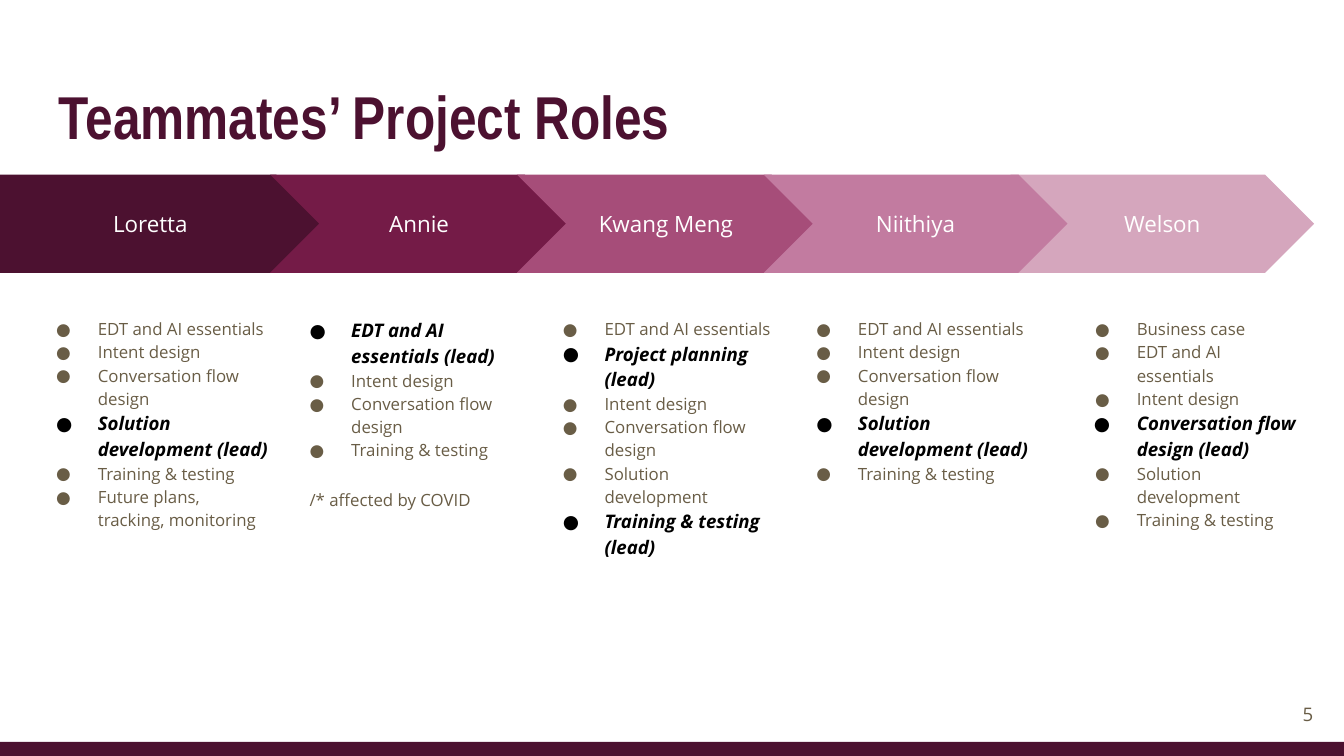
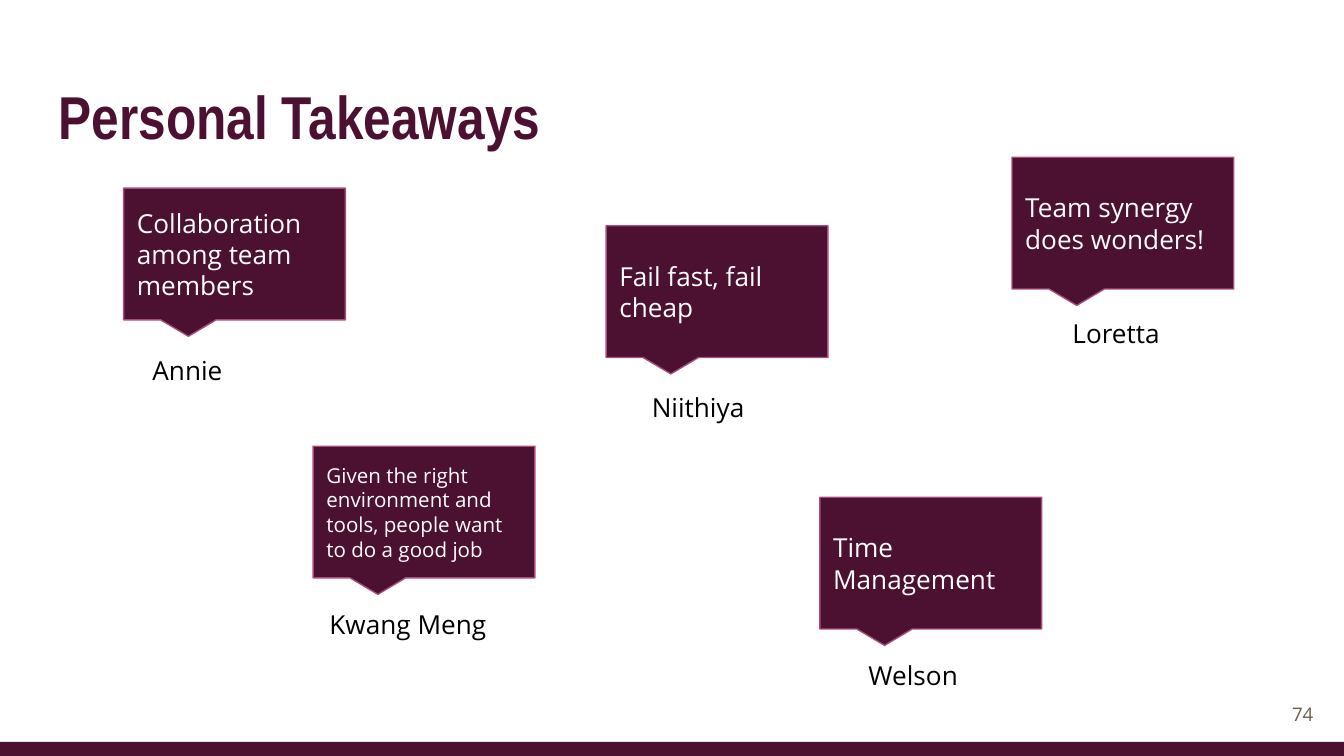
from lxml import etree
from pptx import Presentation
from pptx.dml.color import RGBColor
from pptx.enum import shapes, text
from pptx.oxml import ns
from pptx.util import Inches, Pt

KIND = shapes.MSO_SHAPE
ALIGN = text.PP_ALIGN
MID = text.MSO_ANCHOR.MIDDLE
WIDE, HIGH = 10, 5.625
COLS, ROWS = 100, 56.25
PLUM, ROSE, TAUPE, BLACK, WHITE = "4C1130", "A64D79", "695D46", "000000", "FFFFFF"
FONT, HEAD = "Open Sans", "Arial Narrow"

EDT, INTENT, FLOW = "EDT and AI essentials", "Intent design", "Conversation flow design"
SOLVE, TEST = "Solution development", "Training & testing"
LEAD = " (lead)"

ROLES = [
    (0, "Loretta", PLUM, 28.5, [EDT, INTENT, FLOW, SOLVE + LEAD, TEST,
                                "Future plans, tracking, monitoring"]),
    (1, "Annie ", "741B47", 25.7, [EDT + LEAD, INTENT, FLOW, TEST]),
    (2, "Kwang Meng ", ROSE, 31.4, [EDT, "Project planning" + LEAD, INTENT, FLOW,
                                    SOLVE, TEST + LEAD]),
    (4, "Welson", "D5A6BD", 25.7, ["Business case", EDT, INTENT, FLOW + LEAD, SOLVE, TEST]),
    (3, "Niithiya", "C27BA0", 25.7, [EDT, INTENT, FLOW, SOLVE + LEAD, TEST]),
]

QUOTES = [
    ("Loretta", (74.4, 22.6), (75.3, 11.7), "Team synergy does wonders!", 14),
    ("Niithiya", (43.3, 28.1), (45.1, 16.8), "Fail fast, fail cheap", 14),
    ("Kwang Meng", (21.7, 44.3), (23.3, 33.2),
     "Given the right environment and tools, people want to do a good job", 11),
    ("Welson", (59.3, 48.1), (61, 37), "Time Management", 14),
    ("Annie", (5.3, 25.4), (9.2, 14), "Collaboration among team members", 14),
]


def paint(color):
    """Turn a hex string into a colour."""
    return RGBColor.from_string(color)


def place(col, row, cols, rows):
    """Turn grid columns and rows into slide lengths."""
    dx, dy = WIDE / COLS, HIGH / ROWS
    return Inches(col * dx), Inches(row * dy), Inches(cols * dx), Inches(rows * dy)


def write(shape, line, size=14, color=BLACK, font=FONT, bold=False, slant=False,
          align=ALIGN.LEFT, anchor=text.MSO_ANCHOR.TOP, space=None, before=None,
          indent=None, more=False):
    """Write one paragraph into a shape."""
    frame = shape.text_frame
    if not more:
        frame.word_wrap = True
        frame.vertical_anchor = anchor
        frame.margin_left = frame.margin_right = Inches(0.1)
        frame.margin_top = frame.margin_bottom = Inches(0.1)
    para = frame.add_paragraph() if more else frame.paragraphs[0]
    para.alignment = align
    if space:
        para.line_spacing = space
    if before:
        para.space_before = Pt(before)
    if indent:
        mark(para, indent, color, bold)
    run = para.add_run()
    run.text = line
    face = run.font
    face.name, face.size, face.bold, face.italic = font, Pt(size), bold, slant
    face.color.rgb = paint(color)


def mark(para, indent, color, bold):
    """Give a paragraph a round bullet and a hanging indent."""
    props = para._p.get_or_add_pPr()
    props.set("marL", str(Inches(indent)))
    props.set("indent", str(-Inches(0.32 if bold else 0.31)))
    tint = etree.SubElement(props, ns.qn("a:buClr"))
    etree.SubElement(tint, ns.qn("a:srgbClr")).set("val", color)
    etree.SubElement(props, ns.qn("a:buFont")).set("typeface", FONT)
    etree.SubElement(props, ns.qn("a:buChar")).set("char", "●")


def block(slide, kind, area, fill, edge=None, adjust=()):
    """Draw a filled preset shape."""
    shape = slide.shapes.add_shape(kind, *place(*area))
    shape.shadow.inherit = False
    shape.fill.solid()
    shape.fill.fore_color.rgb = paint(fill)
    if edge:
        shape.line.color.rgb = paint(edge)
        shape.line.width = Pt(0.75)
    else:
        shape.line.fill.background()
    for spot, value in enumerate(adjust):
        shape.adjustments[spot] = value
    return shape


def label(slide, area, line, **style):
    """Add a text box with one paragraph."""
    box = slide.shapes.add_textbox(*place(*area))
    write(box, line, **style)
    return box


def page(deck, title, number):
    """Add a slide with its band, title and number."""
    slide = deck.slides.add_slide(deck.slide_layouts[6])
    block(slide, KIND.RECTANGLE, (0, 55.2, COLS, 1.05), PLUM)
    label(slide, (3.4, 4.9, 93.2, 7.7), title, size=32.4, color=PLUM, font=HEAD, bold=True)
    label(slide, (92.7, 51, 6, 4.3), number, size=10, color=TAUPE,
          align=ALIGN.RIGHT, anchor=MID)
    return slide


def arrow(slide, index, name, fill):
    """Draw one named step of the arrow row."""
    if index:
        kind, area = KIND.CHEVRON, (1.75 + 18.36 * index, 13, 22.6, 7.3)
    else:
        kind, area = KIND.PENTAGON, (0, 13, 24.2, 7.3)
    write(block(slide, kind, area, fill, adjust=[0.5]), name, size=12, color=WHITE,
          align=ALIGN.CENTER, anchor=MID)


def tasks(slide, index, rows, items):
    """List the tasks of one person, with led tasks stressed."""
    last = index == 4
    area = place(3.2 + 18.85 * index, 22.5, 19.2 if last else 17.8, rows)
    box = slide.shapes.add_textbox(*area)
    for spot, item in enumerate(items):
        lead = item.endswith(LEAD)
        write(box, item, size=10 if lead else 9, color=BLACK if lead else TAUPE,
              bold=lead, slant=lead, space=1.15, indent=0.5 if last else 0.31,
              more=spot > 0)
    return box


def quote(slide, name, spot, corner, line, size):
    """Draw a speech callout and the name of its speaker."""
    label(slide, (*spot, 17.3, 4.4), name, align=ALIGN.CENTER)
    bubble = block(slide, KIND.ROUNDED_RECTANGULAR_CALLOUT, (*corner, 16.5, 9.8),
                   PLUM, edge=ROSE, adjust=[-0.208, 0.625, 0])
    write(bubble, line, size=size, color=WHITE, anchor=MID)


def main():
    """Build both slides and save them."""
    deck = Presentation()
    deck.slide_width, deck.slide_height = Inches(WIDE), Inches(HIGH)

    roles = page(deck, "Teammates’ Project Roles", "5")
    for index, name, fill, rows, items in ROLES:
        arrow(roles, index, name, fill)
        box = tasks(roles, index, rows, items)
        if index == 1:
            write(box, "/* affected by COVID", size=9, color=TAUPE, space=1.15,
                  before=14, more=True)

    views = page(deck, "Personal Takeaways", "74")
    for entry in QUOTES:
        quote(views, *entry)
    deck.save("out.pptx")


if __name__ == "__main__":
    main()
